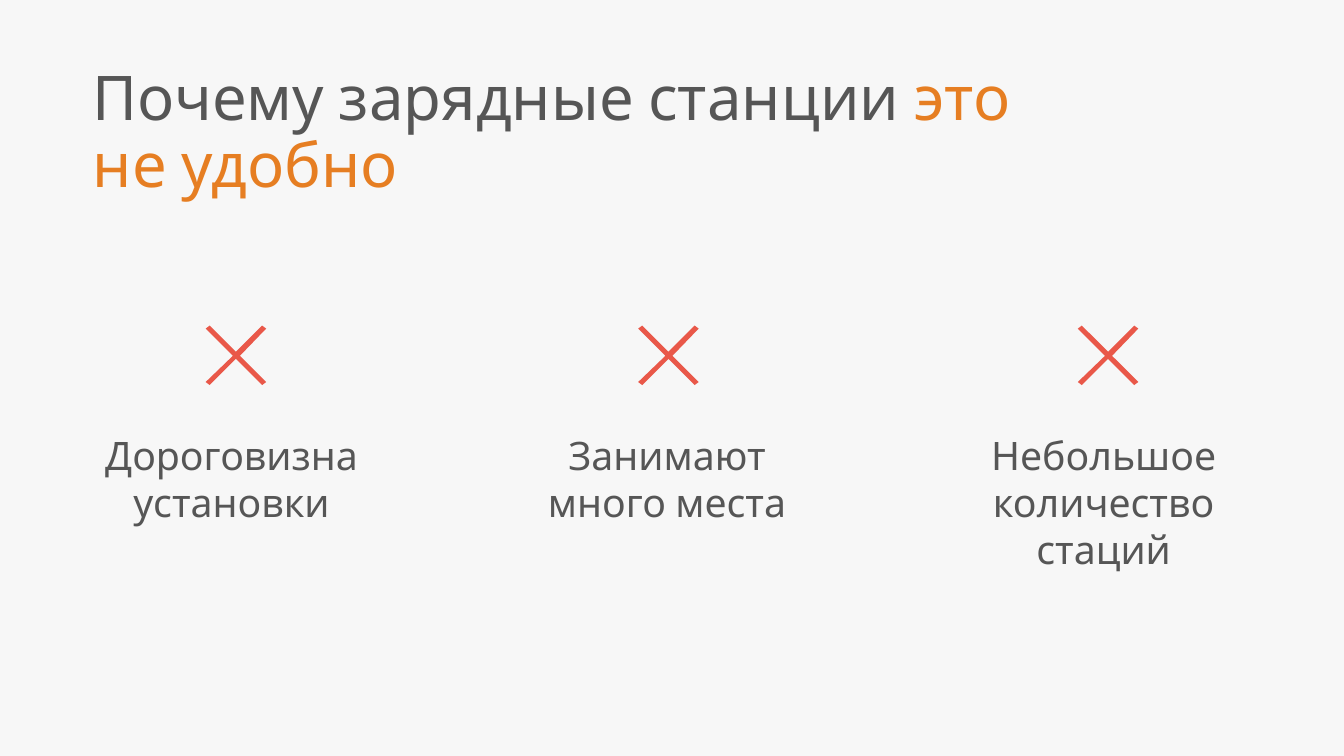
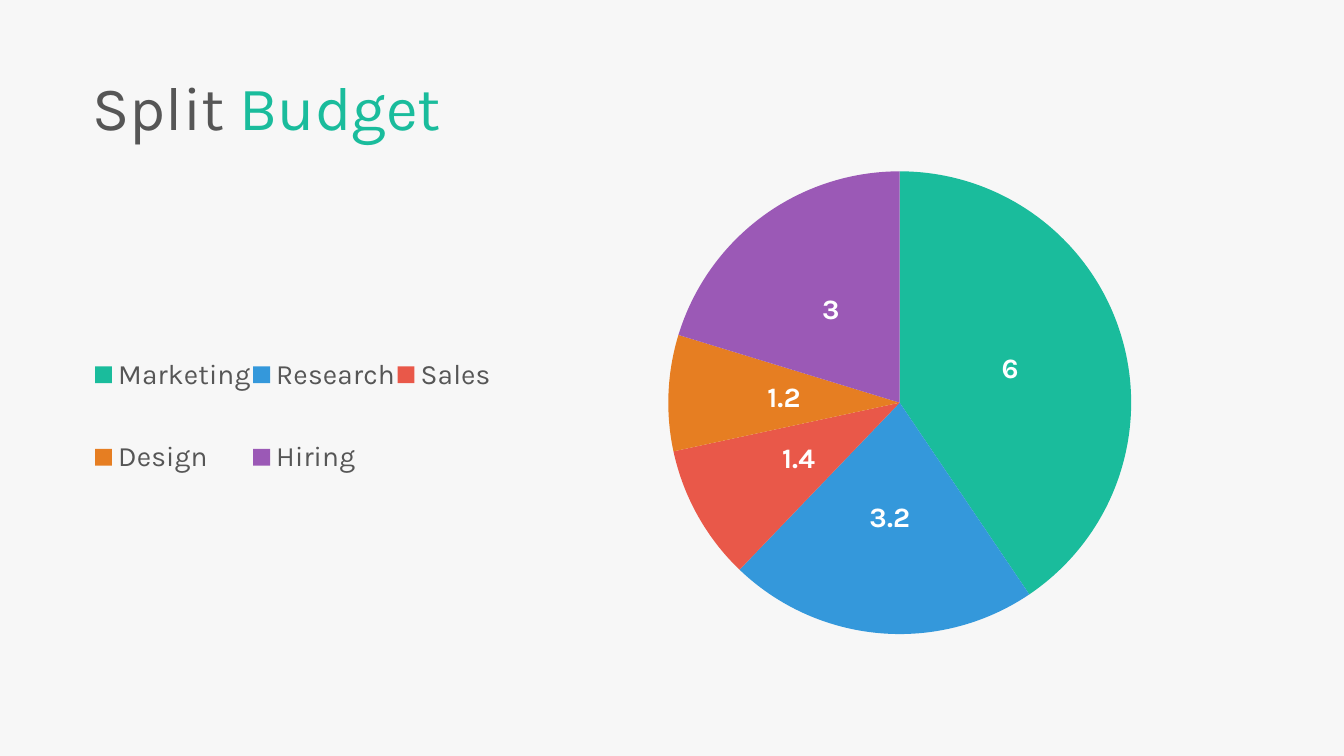
from lxml import etree
from pptx import Presentation
from pptx import util as u
from pptx.chart.data import CategoryChartData
from pptx.dml.color import RGBColor
from pptx.enum import chart as ch
from pptx.enum import text as t
from pptx.oxml import ns

PX = 9144
FONT = "Karla"
PALE = RGBColor(0xF7, 0xF7, 0xF7)
GREY = RGBColor(0x56, 0x56, 0x56)
WHITE = RGBColor(0xFF, 0xFF, 0xFF)
GREEN = RGBColor(0x1A, 0xBC, 0x9C)
BLUE = RGBColor(0x34, 0x98, 0xDB)
RED = RGBColor(0xE9, 0x58, 0x49)
ORANGE = RGBColor(0xE6, 0x7E, 0x22)
PURPLE = RGBColor(0x9B, 0x59, 0xB6)
LEFT = 92
CROSS = [(60, 3), (56, 0), (30, 26), (4, 0), (0, 3), (27, 30),
         (0, 56), (4, 59), (30, 33), (56, 59), (60, 56), (34, 30)]


def style(font, size, color, bold=False):
    font.name = FONT
    font.size = u.Pt(size)
    font.bold = bold
    font.color.rgb = color


def add_page(deck):
    page = deck.slides.add_slide(deck.slide_layouts[6])
    page.background.fill.solid()
    page.background.fill.fore_color.rgb = PALE
    return page


def add_text(page, box, parts, size):
    shape = page.shapes.add_textbox(*(v * PX for v in box))
    frame = shape.text_frame
    frame.word_wrap = True
    frame.auto_size = t.MSO_AUTO_SIZE.SHAPE_TO_FIT_TEXT
    frame.margin_left = 0
    frame.margin_right = 10 * PX
    frame.margin_top = frame.margin_bottom = 5 * PX
    para = frame.paragraphs[0]
    for words, color in parts:
        run = para.add_run()
        run.text = words
        style(run.font, size, color)
    return para


def add_title(page, box, plain, accent, color):
    para = add_text(page, box, [(plain, GREY), (accent, color)], 44)
    para.line_spacing = 0.9
    para.space_before = u.Pt(10)


def add_cross(page, left, top):
    pen = page.shapes.build_freeform(*CROSS[0], scale=PX)
    pen.add_line_segments(CROSS[1:], close=True)
    shape = pen.convert_to_shape(left * PX, top * PX)
    shape.shadow.inherit = False
    shape.fill.solid()
    shape.fill.fore_color.rgb = RED
    shape.line.fill.background()


def add_flaw(page, box, shift, words):
    left, top, width, height = box
    add_cross(page, left + shift, top)
    para = add_text(page, (left, top + 100, width, height - 100),
                    [(words, GREY)], 28)
    para.alignment = t.PP_ALIGN.CENTER


def make_layout(inner, x, y, w, h):
    layout = etree.Element(ns.qn("c:layout"))
    manual = etree.SubElement(layout, ns.qn("c:manualLayout"))
    rows = [("layoutTarget", "inner")] if inner else []
    rows += [("xMode", "edge"), ("yMode", "edge"),
             ("x", x), ("y", y), ("w", w), ("h", h)]
    for tag, val in rows:
        etree.SubElement(manual, ns.qn("c:" + tag)).set("val", str(val))
    return layout


def add_pie(page, box, rows):
    data = CategoryChartData()
    data.categories = [name for name, val, color in rows]
    data.add_series("Series 1", [val for name, val, color in rows])
    frame = page.shapes.add_chart(ch.XL_CHART_TYPE.PIE,
                                  *(v * PX for v in box), data)
    chart = frame.chart
    chart.has_title = False
    style(chart.font, 10, GREY)
    plot = chart.plots[0]
    plot.vary_by_categories = True
    for i, (name, val, color) in enumerate(rows):
        form = plot.series[0].points[i].format
        form.fill.solid()
        form.fill.fore_color.rgb = color
        form.line.fill.background()
    plot.has_data_labels = True
    tags = plot.data_labels
    tags.show_value = True
    tags.show_percentage = False
    tags.position = ch.XL_LABEL_POSITION.CENTER
    style(tags.font, 20, WHITE, True)

    chart.has_legend = True
    key = chart.legend
    key.position = ch.XL_LEGEND_POSITION.BOTTOM
    key.include_in_layout = False
    style(key.font, 20, GREY)
    root = chart.element
    for old in list(root.iter(ns.qn("c:layout"))):
        old.getparent().remove(old)
    spot = root.find(".//" + ns.qn("c:legendPos"))
    spot.addnext(make_layout(False, 0, 0.26, 0.32, 0.4))
    area = root.find(".//" + ns.qn("c:plotArea"))
    area.insert(0, make_layout(True, 0.46, 0, 0.37, 0.87))


def make_flaws(deck):
    page = add_page(deck)
    add_title(page, (LEFT, 62, 978, 143),
              "Почему зарядные станции ", "это не удобно", ORANGE)
    flaws = [(LEFT, 112, 204, "Дороговизна установки"),
             (524, 109, 204, "Занимают много места"),
             (957, 112, 251, "Небольшое количество стаций")]
    for left, shift, height, words in flaws:
        add_flaw(page, (left, 323, 285, height), shift, words)


def make_budget(deck):
    page = add_page(deck)
    add_title(page, (LEFT, 72, 490, 77), "Split", " Budget", GREEN)
    add_pie(page, (LEFT, 169, 1241, 530),
            [("Marketing", 6, GREEN), ("Research", 3.2, BLUE),
             ("Sales", 1.4, RED), ("Design", 1.2, ORANGE),
             ("Hiring", 3, PURPLE)])


def main():
    deck = Presentation()
    deck.slide_width = 1333 * PX
    deck.slide_height = 750 * PX
    make_flaws(deck)
    make_budget(deck)
    deck.save("out.pptx")


if __name__ == "__main__":
    main()
